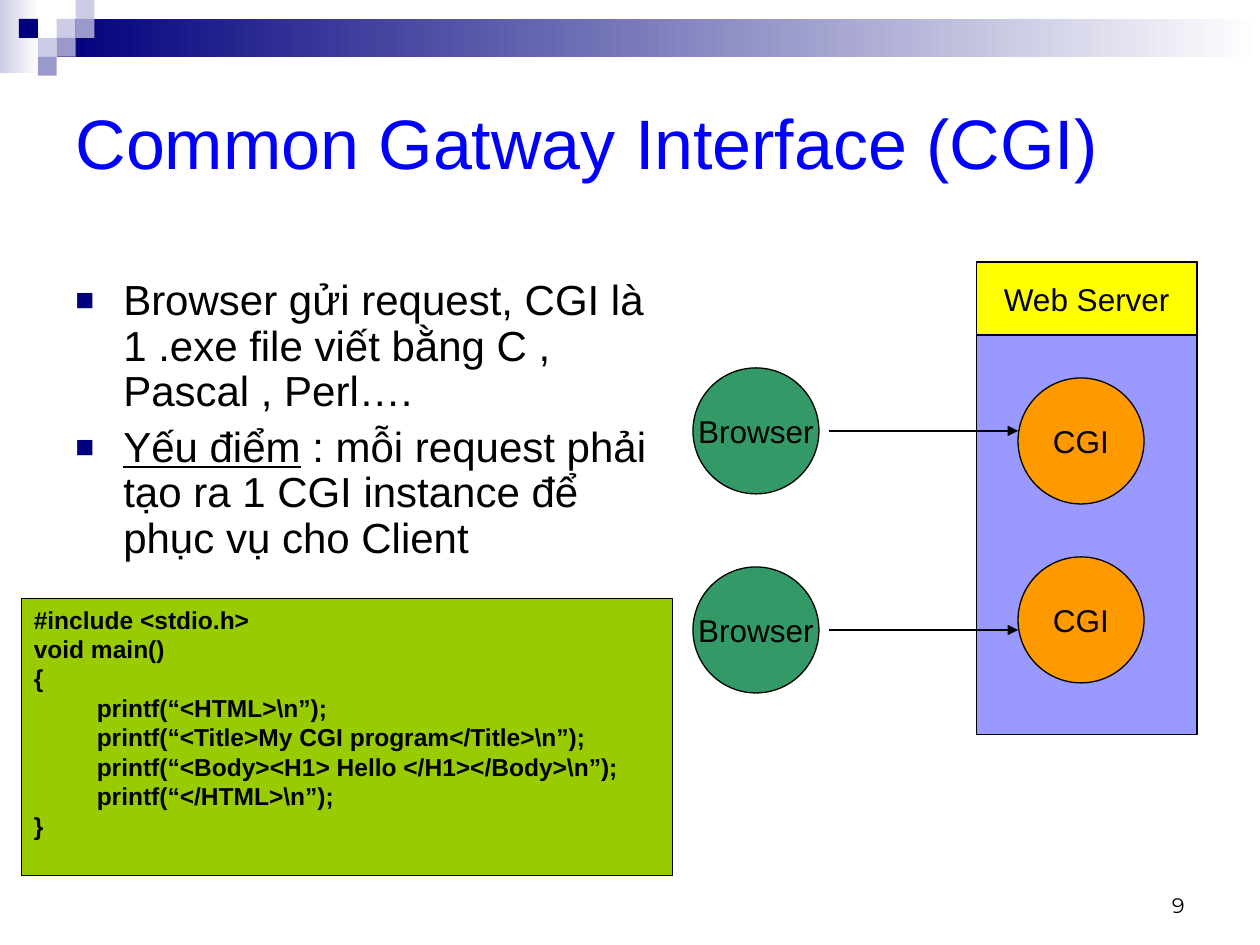
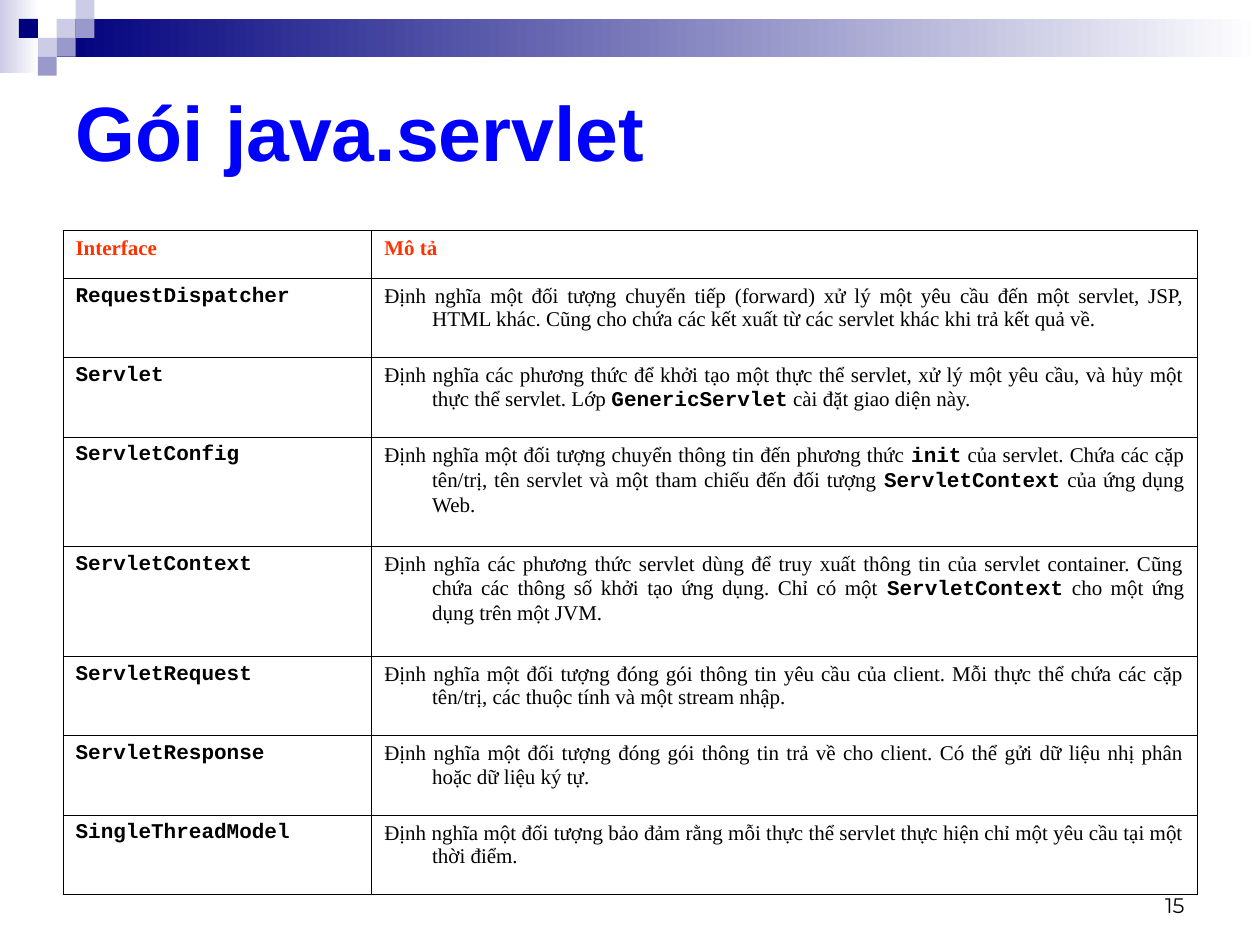
from dataclasses import dataclass

from lxml import etree
from pptx import Presentation
from pptx.dml.color import RGBColor
from pptx.enum.shapes import MSO_CONNECTOR, MSO_SHAPE
from pptx.enum.text import MSO_ANCHOR, MSO_AUTO_SIZE, PP_ALIGN
from pptx.oxml.ns import qn
from pptx.util import Inches, Pt

RECTANGLE = MSO_SHAPE.RECTANGLE
OVAL = MSO_SHAPE.OVAL
STRAIGHT = MSO_CONNECTOR.STRAIGHT
TOP, MIDDLE, BOTTOM = MSO_ANCHOR.TOP, MSO_ANCHOR.MIDDLE, MSO_ANCHOR.BOTTOM
LEFT, CENTER, RIGHT, JUSTIFY = PP_ALIGN.LEFT, PP_ALIGN.CENTER, PP_ALIGN.RIGHT, PP_ALIGN.JUSTIFY
NO_AUTOFIT = MSO_AUTO_SIZE.NONE
TITLE_ONLY = 5


@dataclass(frozen=True)
class Theme:
    navy: RGBColor = RGBColor(0x00, 0x00, 0x7D)
    periwinkle: RGBColor = RGBColor(0x99, 0x99, 0xCC)
    lavender: RGBColor = RGBColor(0xCC, 0xCC, 0xE6)
    white: RGBColor = RGBColor(0xFF, 0xFF, 0xFF)
    black: RGBColor = RGBColor(0x00, 0x00, 0x00)
    title: RGBColor = RGBColor(0x00, 0x00, 0xFF)
    header: RGBColor = RGBColor(0xFF, 0x33, 0x00)
    browser: RGBColor = RGBColor(0x33, 0x99, 0x66)
    server: RGBColor = RGBColor(0x99, 0x99, 0xFF)
    server_label: RGBColor = RGBColor(0xFF, 0xFF, 0x00)
    cgi: RGBColor = RGBColor(0xFF, 0x99, 0x00)
    code: RGBColor = RGBColor(0x99, 0xCC, 0x00)
    sans: str = "Arial"
    serif: str = "Times New Roman"
    mono: str = "Courier New"
    number_font: str = "Montserrat"
    body_size: float = 24
    label_size: float = 18
    code_size: float = 14
    small_size: float = 12
    outline: float = 0.75
    table_border: float = 0.45


THEME = Theme()


@dataclass(frozen=True)
class Box:
    left: float
    top: float
    width: float
    height: float

    def lengths(self) -> tuple:
        return tuple(Inches(value) for value in (self.left, self.top, self.width, self.height))


@dataclass(frozen=True)
class TextStyle:
    size: float
    font: str = THEME.sans
    color: RGBColor = THEME.black
    bold: bool = False
    underline: bool = False


@dataclass(frozen=True)
class Node:
    box: Box
    fill: RGBColor
    label: str = ""
    kind: int = OVAL


@dataclass(frozen=True)
class Square:
    column: int
    row: int
    color: RGBColor


@dataclass(frozen=True)
class InterfaceRow:
    name: str
    description: tuple
    lines: int = 2


BODY = TextStyle(THEME.body_size)
UNDERLINED = TextStyle(THEME.body_size, underline=True)
LABEL = TextStyle(THEME.label_size)
CODE = TextStyle(THEME.code_size, bold=True)
NUMBER = TextStyle(THEME.small_size, THEME.number_font)
HEADER = TextStyle(THEME.small_size, THEME.serif, THEME.header, bold=True)
PROSE = TextStyle(THEME.small_size, THEME.serif)
NAME = TextStyle(THEME.small_size, THEME.mono, bold=True)

GRID = 0.15
SQUARES = (
    Square(3, 1, THEME.lavender), Square(4, 0, THEME.lavender),
    Square(4, 1, THEME.periwinkle), Square(2, 2, THEME.lavender),
    Square(1, 1, THEME.navy), Square(3, 2, THEME.periwinkle),
    Square(2, 3, THEME.periwinkle),
)

BULLETS = (
    (("Browser gửi request, CGI là 1 .exe file viết bằng C , Pascal , Perl….", BODY),),
    (("Yếu điểm", UNDERLINED),
     (" : mỗi request phải tạo ra 1 CGI instance để phục vụ cho Client", BODY)),
)

CODE_LINES = (
    "#include <stdio.h>",
    "void main()",
    "{",
    "\tprintf(“<HTML>\\n”);",
    "\tprintf(“<Title>My CGI program</Title>\\n”);",
    "\tprintf(“<Body><H1> Hello </H1></Body>\\n”);",
    "\tprintf(“</HTML>\\n”);",
    "}",
)

NODES = (
    Node(Box(5.5, 2.92, 1, 1), THEME.browser, "Browser"),
    Node(Box(5.5, 4.5, 1, 1), THEME.browser, "Browser"),
    Node(Box(7.75, 2.08, 1.75, 3.75), THEME.server, kind=RECTANGLE),
    Node(Box(7.75, 2.08, 1.75, 0.58), THEME.server_label, "Web Server", RECTANGLE),
    Node(Box(8.08, 3, 1, 1), THEME.cgi, "CGI"),
    Node(Box(8.08, 4.42, 1, 1), THEME.cgi, "CGI"),
)
REQUEST_HEIGHTS = (3.42, 5)

COLUMN_WIDTHS = (2.45, 6.55)
HEADER_HEIGHT = 0.38
ROW_HEIGHTS = {2: 0.63, 3: 0.87}
INTERFACES = (
    InterfaceRow("RequestDispatcher", (
        ("Định nghĩa một đối tượng chuyển tiếp (forward) xử lý một yêu cầu đến một servlet, JSP, "
         "HTML khác. Cũng cho chứa các kết xuất từ các servlet khác khi trả kết quả về.", PROSE),)),
    InterfaceRow("Servlet", (
        ("Định nghĩa các phương thức để khởi tạo một thực thể servlet, xử lý một yêu cầu, "
         "và hủy một thực thể servlet. Lớp ", PROSE),
        ("GenericServlet", NAME),
        (" cài đặt giao diện này.", PROSE))),
    InterfaceRow("ServletConfig", (
        ("Định nghĩa một đối tượng chuyển thông tin đến phương thức ", PROSE),
        ("init", NAME),
        (" của servlet. Chứa các cặp tên/trị, tên servlet và một tham chiếu đến đối tượng ", PROSE),
        ("ServletContext", NAME),
        (" của ứng dụng Web.", PROSE)), 3),
    InterfaceRow("ServletContext", (
        ("Định nghĩa các phương thức servlet dùng để truy xuất thông tin của servlet container. "
         "Cũng chứa các thông số khởi tạo ứng dụng. Chỉ có một ", PROSE),
        ("ServletContext", NAME),
        (" cho một ứng dụng trên một JVM.", PROSE)), 3),
    InterfaceRow("ServletRequest", (
        ("Định nghĩa một đối tượng đóng gói thông tin yêu cầu của client. Mỗi thực thể chứa "
         "các cặp tên/trị, các thuộc tính và một stream nhập.", PROSE),)),
    InterfaceRow("ServletResponse", (
        ("Định nghĩa một đối tượng đóng gói thông tin trả về cho client. Có thể gửi dữ liệu "
         "nhị phân hoặc dữ liệu ký tự.", PROSE),)),
    InterfaceRow("SingleThreadModel", (
        ("Định nghĩa một đối tượng bảo đảm rằng mỗi thực thể servlet thực hiện chỉ một yêu cầu "
         "tại một thời điểm.", PROSE),)),
)


def add_xml(parent, tag: str, **attributes: str):
    return etree.SubElement(parent, qn(tag), attributes)


def set_hanging_indent(paragraph):
    properties = paragraph._p.get_or_add_pPr()
    properties.set("marL", str(Inches(0.38)))
    properties.set("indent", str(-Inches(0.38)))
    return properties


def add_bullet(paragraph) -> None:
    properties = set_hanging_indent(paragraph)
    add_xml(add_xml(properties, "a:buClr"), "a:srgbClr", val=str(THEME.navy))
    add_xml(properties, "a:buSzPct", val="75000")
    add_xml(properties, "a:buFont", typeface=THEME.sans)
    add_xml(properties, "a:buChar", char="■")


def add_runs(paragraph, runs: tuple, alignment=LEFT) -> None:
    paragraph.alignment = alignment
    for text, style in runs:
        run = paragraph.add_run()
        run.text = text
        run.font.name = style.font
        run.font.size = Pt(style.size)
        run.font.color.rgb = style.color
        run.font.bold = style.bold
        run.font.underline = style.underline


def add_paragraphs(frame, paragraphs: tuple, alignment=LEFT, bulleted: bool = False) -> None:
    for index, runs in enumerate(paragraphs):
        paragraph = frame.add_paragraph() if index else frame.paragraphs[0]
        if bulleted:
            add_bullet(paragraph)
            paragraph.line_spacing = 0.9
            paragraph.space_before = Pt(6 if index else 0)
        add_runs(paragraph, runs, alignment)


def prepare_frame(shape, anchor=TOP, wrap: bool = True):
    frame = shape.text_frame
    frame.auto_size = NO_AUTOFIT
    frame.word_wrap = wrap
    frame.vertical_anchor = anchor
    frame.margin_left = frame.margin_right = Inches(0.1)
    frame.margin_top = frame.margin_bottom = Inches(0.05)
    return frame


def add_plain_shape(slide, box: Box, fill: RGBColor, kind=RECTANGLE, outlined: bool = False):
    shape = slide.shapes.add_shape(kind, *box.lengths())
    shape.shadow.inherit = False
    shape.fill.solid()
    shape.fill.fore_color.rgb = fill
    if outlined:
        shape.line.color.rgb = THEME.black
        shape.line.width = Pt(THEME.outline)
    else:
        shape.line.fill.background()
    return shape


def add_fading_band(slide, box: Box, start: RGBColor) -> None:
    fill = add_plain_shape(slide, box, start).fill
    fill.gradient()
    fill.gradient_angle = 0
    for stop, color in zip(fill.gradient_stops, (start, THEME.white)):
        stop.color.rgb = color


def add_node(slide, node: Node) -> None:
    shape = add_plain_shape(slide, node.box, node.fill, node.kind, outlined=True)
    if node.label:
        add_runs(prepare_frame(shape, MIDDLE, wrap=False).paragraphs[0], ((node.label, LABEL),), CENTER)


def add_request_arrow(slide, height: float) -> None:
    connector = slide.shapes.add_connector(
        STRAIGHT, Inches(6.58), Inches(height), Inches(8.08), Inches(height))
    connector.line.color.rgb = THEME.black
    connector.line.width = Pt(THEME.outline)
    add_xml(connector.line._get_or_add_ln(), "a:tailEnd", type="triangle")
    add_xml(connector._element.spPr, "a:effectLst")


def add_slide(presentation, title: str, title_height: float, title_style: TextStyle, number: str):
    slide = presentation.slides.add_slide(presentation.slide_layouts[TITLE_ONLY])
    add_fading_band(slide, Box(0, 0, 0.31, 0.58), THEME.lavender)
    add_fading_band(slide, Box(3 * GRID, GRID, 9.55, 2 * GRID), THEME.navy)
    for square in SQUARES:
        add_plain_shape(slide, Box(square.column * GRID, square.row * GRID, GRID, GRID), square.color)
    heading = slide.shapes.title
    heading.left, heading.top, heading.width, heading.height = Box(0.5, 0.5, 9, title_height).lengths()
    add_runs(prepare_frame(heading, MIDDLE).paragraphs[0], ((title, title_style),))
    number_box = slide.shapes.add_textbox(*Box(7.17, 6.83, 2.33, 0.5).lengths())
    add_runs(prepare_frame(number_box, BOTTOM).paragraphs[0], ((number, NUMBER),), RIGHT)
    return slide


def format_cell(cell, runs: tuple) -> None:
    cell.vertical_anchor = TOP
    paragraph = cell.text_frame.paragraphs[0]
    set_hanging_indent(paragraph)
    add_runs(paragraph, runs, JUSTIFY)
    properties = cell._tc.get_or_add_tcPr()
    for side in ("a:lnL", "a:lnR", "a:lnT", "a:lnB"):
        border = add_xml(properties, side, w=str(Pt(THEME.table_border)))
        add_xml(add_xml(border, "a:solidFill"), "a:srgbClr", val=str(THEME.black))
    cell.fill.background()


def build_cgi_slide(presentation) -> None:
    slide = add_slide(presentation, "Common Gatway Interface (CGI)", 1.25,
                      TextStyle(40, color=THEME.title), "9")
    body = slide.shapes.add_textbox(*Box(0.5, 2.17, 4.75, 2.58).lengths())
    add_paragraphs(prepare_frame(body), BULLETS, bulleted=True)
    for node in NODES:
        add_node(slide, node)
    for height in REQUEST_HEIGHTS:
        add_request_arrow(slide, height)
    code = add_plain_shape(slide, Box(0.17, 4.75, 5.17, 2.2), THEME.code, outlined=True)
    add_paragraphs(prepare_frame(code), tuple(((line, CODE),) for line in CODE_LINES))


def build_interface_slide(presentation) -> None:
    slide = add_slide(presentation, "Gói java.servlet", 1.08,
                      TextStyle(44, color=THEME.title, bold=True), "15")
    rows = [((("Interface", HEADER),), (("Mô tả", HEADER),))]
    rows += [(((item.name, NAME),), item.description) for item in INTERFACES]
    heights = [HEADER_HEIGHT] + [ROW_HEIGHTS[item.lines] for item in INTERFACES]
    box = Box(0.5, 1.83, sum(COLUMN_WIDTHS), sum(heights))
    table = slide.shapes.add_table(len(rows), len(COLUMN_WIDTHS), *box.lengths()).table
    table.first_row = table.horz_banding = False
    for column, width in zip(table.columns, COLUMN_WIDTHS):
        column.width = Inches(width)
    for row, height, contents in zip(table.rows, heights, rows):
        row.height = Inches(height)
        for cell, runs in zip(row.cells, contents):
            format_cell(cell, runs)


def main() -> None:
    presentation = Presentation()
    presentation.slide_width, presentation.slide_height = Inches(10), Inches(7.5)
    build_cgi_slide(presentation)
    build_interface_slide(presentation)
    presentation.save("out.pptx")


if __name__ == "__main__":
    main()
